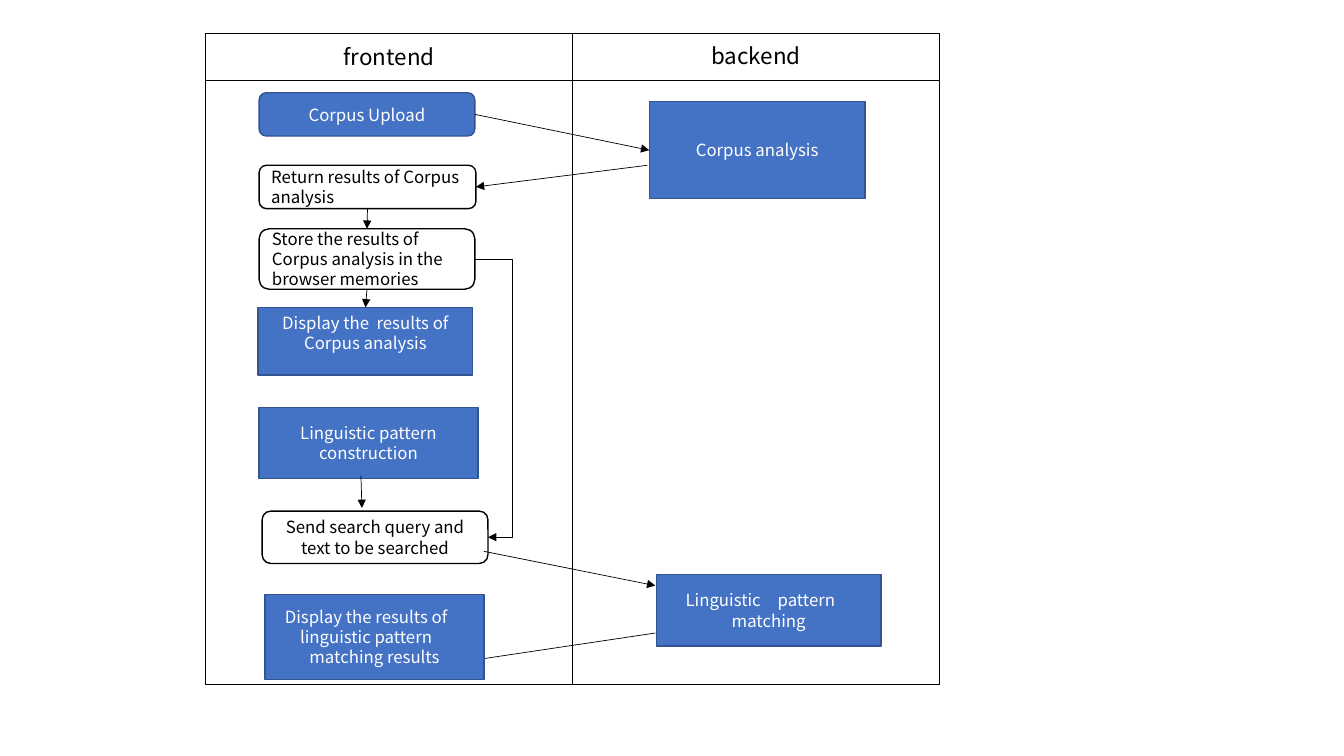
from lxml.etree import SubElement
from pptx import Presentation
from pptx.dml.color import RGBColor
from pptx.enum.shapes import MSO_CONNECTOR, MSO_SHAPE
from pptx.enum.text import MSO_ANCHOR, PP_ALIGN
from pptx.oxml.ns import qn
from pptx.util import Inches, Pt

FONT = "Noto Sans CJK JP"
BLACK, WHITE, BLUE, NAVY = "000000", "FFFFFF", "4472C4", "325491"
TOP, LEFT, BOTTOM, RIGHT = range(4)
LANE_LEFT, LANE_WIDTH, LANE_TOP, LANE_HEIGHT = 2.04, 3.64, 0.33, 6.46
DIVIDER = LANE_LEFT + LANE_WIDTH
HEADER_BOTTOM = 0.8
DETOUR = 5.08

ACTION = {"fill": BLUE, "line": NAVY, "color": WHITE}
MESSAGE = {"fill": WHITE, "line": BLACK, "color": BLACK}
RECT, ROUND = MSO_SHAPE.RECTANGLE, MSO_SHAPE.ROUNDED_RECTANGLE
CENTER, START = PP_ALIGN.CENTER, PP_ALIGN.LEFT
MIDDLE, UPPER = MSO_ANCHOR.MIDDLE, MSO_ANCHOR.TOP

STEPS = {
    "store": ("Store the results of Corpus analysis in the browser memories",
              (2.57, 2.27, 2.14, 0.6), ROUND, MESSAGE, START, MIDDLE),
    "analysis": ("Corpus analysis", (6.44, 1.01, 2.14, 0.96), RECT, ACTION, CENTER, MIDDLE),
    "matching": ("Linguistic　pattern　matching",
                 (6.51, 5.7, 2.23, 0.71), RECT, ACTION, CENTER, MIDDLE),
    "construction": ("Linguistic pattern construction",
                     (2.57, 4.04, 2.17, 0.71), RECT, ACTION, CENTER, MIDDLE),
    "display": ("Display the  results of Corpus analysis",
                (2.56, 3.05, 2.13, 0.67), RECT, ACTION, CENTER, UPPER),
    "return": ("Return results of Corpus  analysis",
               (2.57, 1.64, 2.15, 0.43), ROUND, MESSAGE, START, MIDDLE),
    "matches": ("Display the results of　linguistic pattern　matching results",
                (2.63, 5.9, 2.17, 0.84), RECT, ACTION, CENTER, MIDDLE),
    "send": ("Send search query and text to be searched",
             (2.6, 5.07, 2.24, 0.52), ROUND, MESSAGE, CENTER, MIDDLE),
    "upload": ("Corpus Upload", (2.57, 0.92, 2.14, 0.43), ROUND, ACTION, CENTER, MIDDLE),
}
JOINED = [
    ("upload", RIGHT, "analysis", LEFT),
    ("return", BOTTOM, "store", TOP),
    ("store", BOTTOM, "display", TOP),
]


def rgb(value):
    """Turn a hex string into a colour."""
    return RGBColor.from_string(value)


def write(frame, text, size, color, align, anchor):
    """Put one formatted paragraph into a text frame."""
    for name, value in {"text": text, "word_wrap": True, "vertical_anchor": anchor}.items():
        setattr(frame, name, value)
    paragraph = frame.paragraphs[0]
    for name, value in {"alignment": align, "line_spacing": Pt(size * 1.2)}.items():
        setattr(paragraph, name, value)
    font = paragraph.runs[0].font
    for name, value in {"name": FONT, "size": Pt(size)}.items():
        setattr(font, name, value)
    font.color.rgb = rgb(color)
    SubElement(paragraph.runs[0]._r.rPr, qn("a:ea"), typeface=FONT)


def add_step(slide, text, place, kind, style, align, anchor):
    """Draw one process step with its label."""
    step = slide.shapes.add_shape(kind, *map(Inches, place))
    step.shadow.inherit = False
    step.fill.solid()
    step.fill.fore_color.rgb = rgb(style["fill"])
    step.line.color.rgb = rgb(style["line"])
    step.line.width = Pt(1)
    write(step.text_frame, text, 12, style["color"], align, anchor)
    return step


def add_line(slide, start, end, arrow=True, kind=MSO_CONNECTOR.STRAIGHT):
    """Draw a thin black connector between two points."""
    link = slide.shapes.add_connector(kind, *map(Inches, (*start, *end)))
    link.line.color.rgb = rgb(BLACK)
    link.line.width = Pt(0.5)
    if arrow:
        SubElement(link.line._get_or_add_ln(), qn("a:tailEnd"), type="triangle")
    SubElement(link._element.spPr, qn("a:effectLst"))
    return link


def add_detour(slide, source, target):
    """Lead an elbow arrow around the right sides of two steps."""
    link = add_line(slide, (0, 0), (1, 1), kind=MSO_CONNECTOR.ELBOW)
    link.begin_connect(source, RIGHT)
    link.end_connect(target, RIGHT)
    bend = (Inches(DETOUR) - link.begin_x) / (link.end_x - link.begin_x)
    guides = link._element.spPr.find(qn("a:prstGeom")).get_or_add_avLst()
    SubElement(guides, qn("a:gd"), name="adj1", fmla=f"val {round(bend * 100000)}")


def add_lanes(slide):
    """Draw the frame, dividers and headings of both lanes."""
    right = LANE_LEFT + 2 * LANE_WIDTH
    add_line(slide, (LANE_LEFT, HEADER_BOTTOM), (right, HEADER_BOTTOM), arrow=False)
    frame = slide.shapes.add_shape(
        MSO_SHAPE.FLOWCHART_PROCESS,
        *map(Inches, (LANE_LEFT, LANE_TOP, 2 * LANE_WIDTH, LANE_HEIGHT)))
    frame.shadow.inherit = False
    frame.fill.background()
    frame.line.color.rgb = rgb(BLACK)
    frame.line.width = Pt(0.75)
    add_line(slide, (DIVIDER, LANE_TOP), (DIVIDER, LANE_TOP + LANE_HEIGHT), arrow=False)
    for left, top, heading in ((LANE_LEFT, 0.38, "frontend"), (DIVIDER, 0.37, "backend")):
        box = slide.shapes.add_textbox(*map(Inches, (left, top, LANE_WIDTH, 0.37)))
        write(box.text_frame, heading, 16, BLACK, CENTER, UPPER)


def main():
    """Build the frontend and backend flow chart."""
    deck = Presentation()
    deck.slide_width, deck.slide_height = Inches(13.33), Inches(7.5)
    slide = deck.slides.add_slide(deck.slide_layouts[6])
    add_lanes(slide)
    add_line(slide, (6.5, 6.28), (4.69, 6.55))
    steps = {name: add_step(slide, *step) for name, step in STEPS.items()}
    for source, exit_side, target, entry_side in JOINED:
        link = add_line(slide, (0, 0), (1, 1))
        link.begin_connect(steps[source], exit_side)
        link.end_connect(steps[target], entry_side)
    answer = add_line(slide, (6.42, 1.64), (4.72, 1.86))
    answer.end_connect(steps["return"], RIGHT)
    add_line(slide, (4.8, 5.47), (6.5, 5.81))
    add_line(slide, (3.58, 4.72), (3.59, 5.04))
    add_detour(slide, steps["store"], steps["send"])
    deck.save("out.pptx")


if __name__ == "__main__":
    main()
